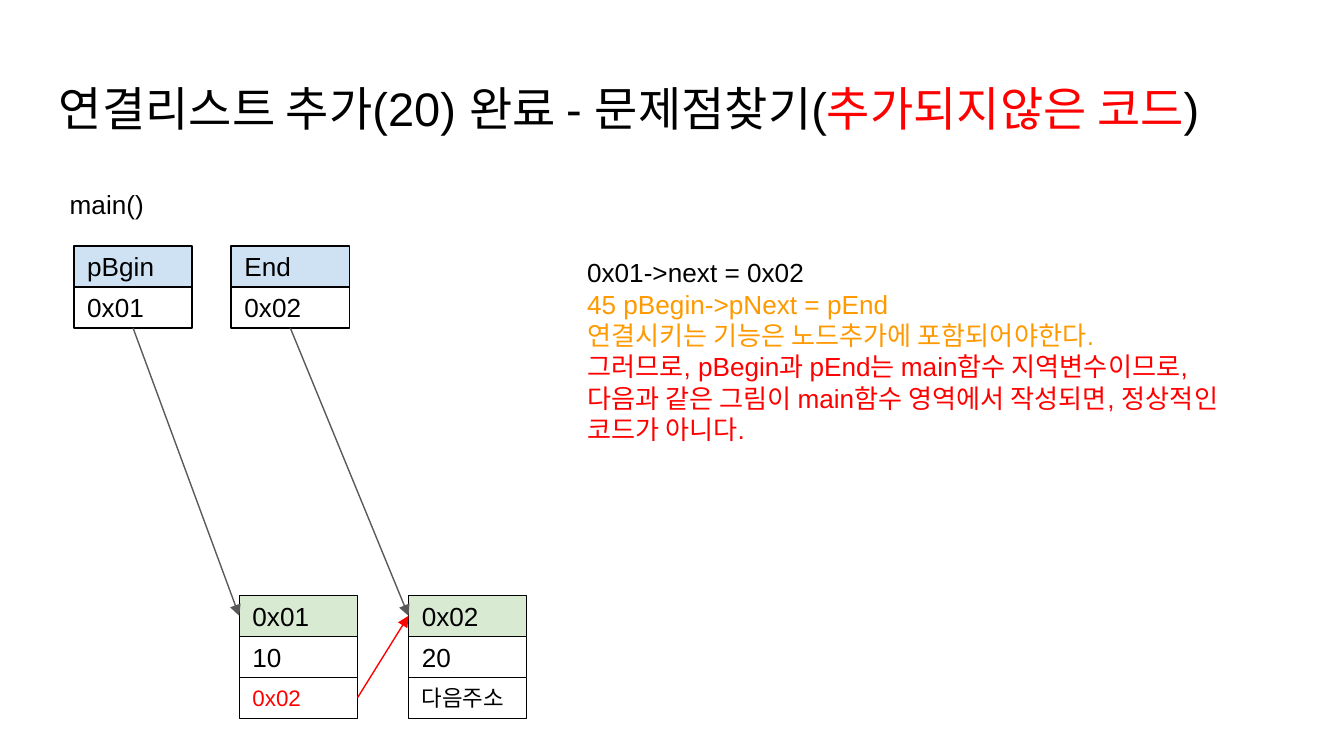
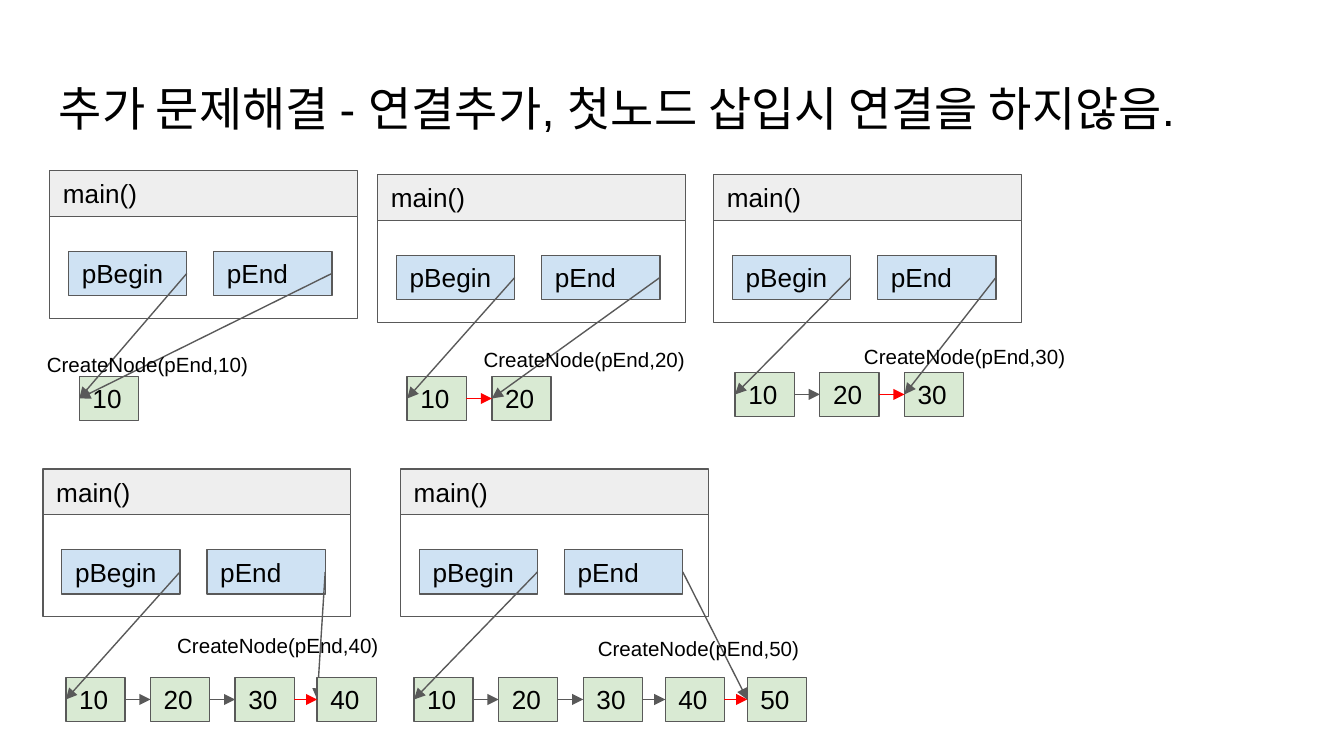
from lxml import etree
from pptx import Presentation
from pptx import util as u
from pptx.dml.color import RGBColor
from pptx.enum import shapes, text
from pptx.oxml.ns import qn

COLOURS = {
    "black": "000000", "white": "FFFFFF", "grey": "595959", "red": "FF0000",
    "orange": "FF9900", "variable": "CFE2F3", "node": "D9EAD3", "header": "EEEEEE",
}
FONT = "Arial"

# The slide is a grid of 100 columns by 56.25 rows, both a tenth of an inch
COLUMNS, ROWS = 100, 56.25
CELL_W, CELL_H = 8.8, 3.05              # memory cell on the first slide
FRAME_W, HEADER_H, BODY_H = 22.9, 3.4, 7.6
NODE_W, BOX_H = 4.4, 3.3
WIDE_STEP, TIGHT_STEP = 6.3, 6.1        # tight from the fourth node on
LEFT, BOTTOM, RIGHT = 1, 2, 3           # connection sites of a rectangle


def grid(*lengths):
    return [u.Inches(length / 10) for length in lengths]


def rgb(name):
    return RGBColor.from_string(COLOURS[name])


def write(shape, paragraphs, size=14, colour="black", anchor="TOP"):
    """Each paragraph is a string or a list of (string, colour) runs."""
    frame = shape.text_frame
    frame.word_wrap = True
    frame.vertical_anchor = getattr(text.MSO_ANCHOR, anchor)
    frame.margin_left = frame.margin_right = u.Inches(0.1)
    frame.margin_top = frame.margin_bottom = u.Inches(0.1)
    for index, runs in enumerate(paragraphs):
        paragraph = frame.add_paragraph() if index else frame.paragraphs[0]
        paragraph.alignment = text.PP_ALIGN.LEFT
        for words, ink in [(runs, colour)] if isinstance(runs, str) else runs:
            for number, line in enumerate(words.split("\n")):
                if number:
                    paragraph.add_line_break()
                run = paragraph.add_run()
                run.text = line
                run.font.name, run.font.size = FONT, u.Pt(size)
                run.font.color.rgb = rgb(ink)


def label(slide, x, y, w, h, paragraphs, **style):
    write(slide.shapes.add_textbox(*grid(x, y, w, h)), paragraphs, **style)


def title(slide, *runs):
    label(slide, 3.4, 4.9, 95.5, 6.3, [list(runs)], size=25.2)


def box(slide, x, y, w, h, words="", fill="white", line="grey", **style):
    shape = slide.shapes.add_shape(shapes.MSO_SHAPE.RECTANGLE, *grid(x, y, w, h))
    shape.shadow.inherit = False
    shape.fill.solid()
    shape.fill.fore_color.rgb = rgb(fill)
    shape.line.color.rgb = rgb(line)
    shape.line.width = u.Pt(0.75)
    if words:
        write(shape, [words], anchor="MIDDLE", **style)
    return shape


def arrow(slide, source, target, colour="grey", leave=RIGHT):
    """Arrow from one side of the source box to the left of the target."""
    link = slide.shapes.add_connector(shapes.MSO_CONNECTOR.STRAIGHT, 0, 0, 0, 0)
    link.begin_connect(source, leave)
    link.end_connect(target, LEFT)
    link.line.color.rgb = rgb(colour)
    link.line.width = u.Pt(0.75)
    properties = link._element.spPr
    etree.SubElement(properties.find(qn("a:ln")), qn("a:tailEnd"), type="triangle")
    etree.SubElement(properties, qn("a:effectLst"))


def memory(slide, x, y, head_fill, *cells):
    """Stack of cells under a coloured head; a cell is (words, style)."""
    return [
        box(slide, x, y + row * CELL_H, CELL_W, CELL_H, words,
            fill="white" if row else head_fill, line="black", **style)
        for row, (words, style) in enumerate(cells)
    ]


def main_frame(slide, x, y):
    """Frame of main() with its two pointers, which are returned."""
    box(slide, x, y, FRAME_W, HEADER_H, "main()", fill="header")
    box(slide, x, y + HEADER_H, FRAME_W, BODY_H)
    return [box(slide, x + dx, y + 6, CELL_W, BOX_H, name, fill="variable")
            for dx, name in ((1.4, "pBegin"), (12.2, "pEnd"))]


def insertion(slide, frame_at, list_at, label_at, count, last_in_front=False):
    """State of the list after its node number `count` is linked in."""
    begin, end = main_frame(slide, *frame_at)
    x, y = list_at
    nodes = []
    for index in range(count):
        if last_in_front and index == count - 1:
            # The last box covers half of the arrowhead, so a stub goes first
            stub = box(slide, x, y, NODE_W, BOX_H, fill="node")
            arrow(slide, end, stub)
            stub._element.getparent().remove(stub._element)
        nodes.append(box(slide, x, y, NODE_W, BOX_H, f"{10 * (index + 1)}", fill="node"))
        x += WIDE_STEP if index < 2 else TIGHT_STEP
    arrow(slide, begin, nodes[0])
    if not last_in_front:
        arrow(slide, end, nodes[-1])
    label(slide, *label_at, 17, 3.9, [f"CreateNode(pEnd,{10 * count})"], size=11)
    for left, right in zip(nodes, nodes[1:]):
        arrow(slide, left, right, "red" if right is nodes[-1] else "grey")


def problem_slide(slide):
    title(slide, ("연결리스트 추가(20) 완료 - 문제점찾기(", "black"),
          ("추가되지않은 코드", "red"), (")", "black"))
    label(slide, 4.2, 13, 54.9, 4.4, ["main()"])

    # Pointers above, nodes below
    begin = memory(slide, 5.5, 18.3, "variable", ("pBgin", {}), ("0x01", {}))
    end = memory(slide, 17.2, 18.3, "variable", ("End", {}), ("0x02", {}))
    first = memory(slide, 17.8, 44.3, "node", ("0x01", {}), ("10", {}),
                   ("0x02", {"size": 12, "colour": "red"}))
    second = memory(slide, 30.4, 44.3, "node", ("0x02", {}), ("20", {}),
                    ("다음주소", {"size": 12}))
    arrow(slide, end[-1], second[0], leave=BOTTOM)
    arrow(slide, begin[-1], first[0], leave=BOTTOM)
    arrow(slide, first[-1], second[0], "red")

    # Explanation
    label(slide, 42.7, 18.1, 51, 16.2, [
        "0x01->next = 0x02",
        [("45 pBegin->pNext = pEnd", "orange")],
        [("연결시키는 기능은 노드추가에 포함되어야한다.", "orange")],
        [("그러므로, pBegin과 pEnd는 main함수 지역변수이므로,\n"
          "다음과 같은 그림이 main함수 영역에서 작성되면, 정상적인 코드가 아니다.", "red")],
    ])


def solution_slide(slide):
    title(slide, ("추가 문제해결 - 연결추가, 첫노드 삽입시 연결을 하지않음.", "black"))
    # Frame, first node and call label of each step
    steps = [
        ((3.7, 12.7), (5.9, 28), (2.5, 25.3)),
        ((28.1, 13), (30.3, 28), (35, 24.9)),
        ((53.1, 13), (54.7, 27.7), (63.3, 24.7)),
        ((3.2, 34.9), (4.9, 50.4), (12.2, 46.2)),
        ((29.8, 34.9), (30.8, 50.4), (43.5, 46.4)),
    ]
    for count, places in enumerate(steps, 1):
        insertion(slide, *places, count, last_in_front=count == 4)


def main():
    deck = Presentation()
    deck.slide_width, deck.slide_height = grid(COLUMNS, ROWS)
    for build in (problem_slide, solution_slide):
        build(deck.slides.add_slide(deck.slide_layouts[6]))
    deck.save("out.pptx")


if __name__ == "__main__":
    main()
